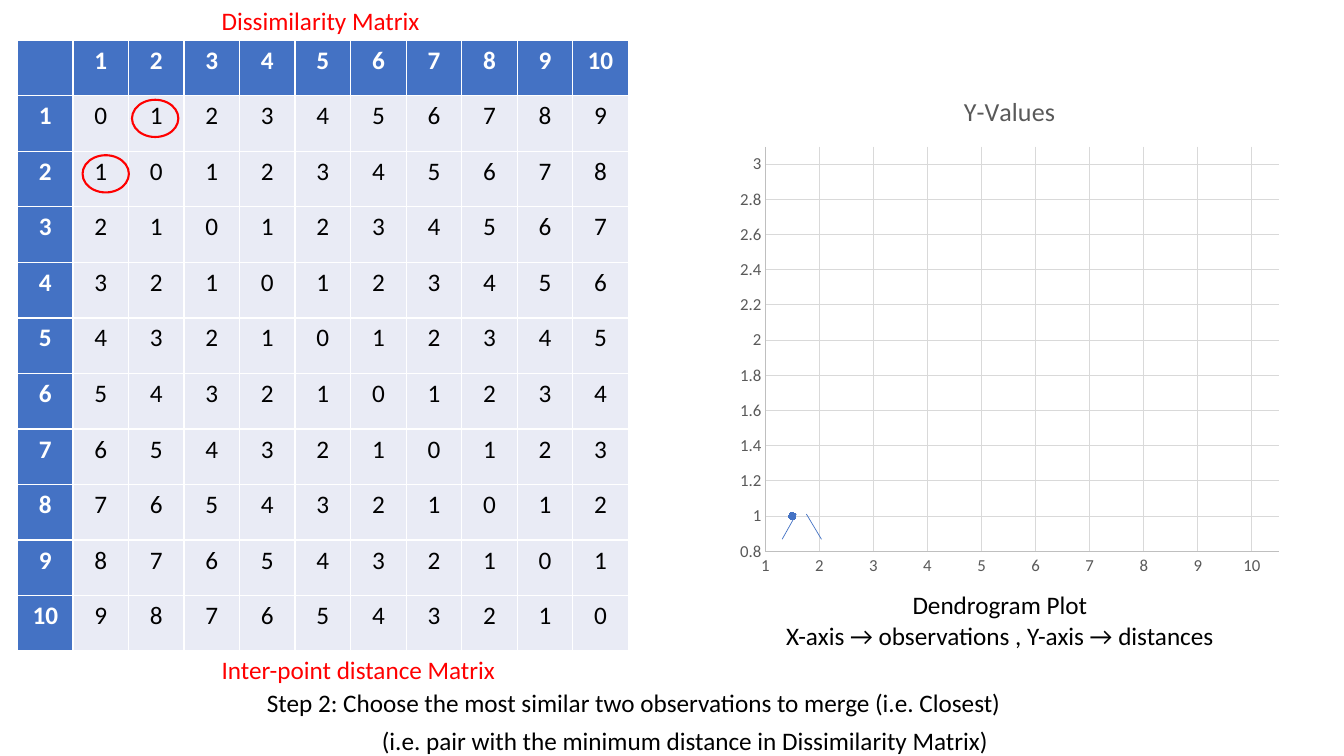
from lxml import etree
from pptx import Presentation
from pptx.chart.data import XyChartData
from pptx.dml.color import RGBColor
from pptx.enum.chart import XL_CHART_TYPE, XL_MARKER_STYLE, XL_TICK_MARK
from pptx.enum.shapes import MSO_CONNECTOR, MSO_SHAPE
from pptx.enum.text import MSO_AUTO_SIZE, PP_ALIGN
from pptx.oxml.ns import qn
from pptx.util import Pt

SCATTER = XL_CHART_TYPE.XY_SCATTER
CIRCLE = XL_MARKER_STYLE.CIRCLE
NO_TICK = XL_TICK_MARK.NONE
STRAIGHT = MSO_CONNECTOR.STRAIGHT
OVAL = MSO_SHAPE.OVAL
FIT_SHAPE = MSO_AUTO_SIZE.SHAPE_TO_FIT_TEXT
LEFT, CENTER = PP_ALIGN.LEFT, PP_ALIGN.CENTER

FONT = "Calibri"
BLACK = RGBColor(0x00, 0x00, 0x00)
WHITE = RGBColor(0xFF, 0xFF, 0xFF)
RED = RGBColor(0xFF, 0x00, 0x00)
BLUE = RGBColor(0x44, 0x72, 0xC4)
PALE = RGBColor(0xE9, 0xEB, 0xF5)
GRAY = RGBColor(0x59, 0x59, 0x59)
AXIS_GRAY = RGBColor(0xBF, 0xBF, 0xBF)
GRID_GRAY = RGBColor(0xD9, 0xD9, 0xD9)

# All lengths are in points.
SLIDE_SIZE = (960, 540)
OBSERVATIONS = range(1, 11)
MATRIX_PLACE = (12.5, 28.8)
CELL_SIZE = 39.68

# Each caption: lines, (left, top, width, height), colour, alignment, wrap
CAPTIONS = [
    (["Step 2: Choose the most similar two observations to merge (i.e. Closest)"],
     (183.6, 487.4, 628.6, 29), BLACK, LEFT, True),
    (["Dissimilarity Matrix"], (151.2, 0, 229, 29), RED, LEFT, True),
    (["Inter-point distance Matrix"], (151.2, 463.8, 229, 29), RED, LEFT, True),
    (["(i.e. pair with the minimum distance in Dissimilarity Matrix)"],
     (265.7, 514.2, 448.6, 29), BLACK, LEFT, False),
    (["Dendrogram Plot", "X-axis → observations , Y-axis → distances"],
     (547.9, 417.6, 332.6, 51), BLACK, CENTER, True),
]

CLOSEST_PAIR_PLACES = [(94.3, 71.3), (59, 110.9)]
CIRCLE_SIZE = (33.1, 26.6)

CHART_BOX = (520.6, 51.8, 401, 366.5)
CHART_TITLE = "Y-Values"
MERGES = [(1.5, 1)]
X_SCALE = {"minimum_scale": 1, "maximum_scale": 10.5, "major_unit": 1}
Y_SCALE = {"minimum_scale": 0.8, "maximum_scale": 3.1, "major_unit": 0.2}
AXIS_FORMAT = {"has_major_gridlines": True, "major_tick_mark": NO_TICK,
               "minor_tick_mark": NO_TICK}

# Each branch: start x, start y, end x, end y
BRANCHES = [(558.7, 385.2, 568.8, 367.2), (586.8, 385.2, 576, 367.2)]


def points(values):
    """Turn plain numbers into lengths."""
    return [Pt(value) for value in values]


def set_font(font, size, color, bold=False):
    """Format a font."""
    for name, value in {"name": FONT, "size": Pt(size), "bold": bold}.items():
        setattr(font, name, value)
    font.color.rgb = color


def set_line(line, color, width):
    """Format an outline."""
    line.color.rgb = color
    line.width = Pt(width)


def add_matrix(slide):
    """Add the table of distances between observations."""
    labels = [None, *OBSERVATIONS]
    count = len(labels)
    side = CELL_SIZE * count
    table = slide.shapes.add_table(
        count, count, *points((*MATRIX_PLACE, side, side))).table
    table.first_col = True
    table.horz_banding = False
    for column in table.columns:
        column.width = Pt(CELL_SIZE)
    for row_index, row_label in enumerate(labels):
        table.rows[row_index].height = Pt(CELL_SIZE)
        for column_index, column_label in enumerate(labels):
            cell = table.cell(row_index, column_index)
            is_header = row_label is None or column_label is None
            cell.fill.solid()
            cell.fill.fore_color.rgb = BLUE if is_header else PALE
            if is_header:
                value = row_label or column_label or ""
            else:
                value = abs(row_label - column_label)
            para = cell.text_frame.paragraphs[0]
            para.alignment = CENTER
            span = para.add_run()
            span.text = str(value)
            set_font(span.font, 18, WHITE if is_header else BLACK, is_header)


def add_caption(slide, lines, place, color, alignment, wrap):
    """Add a text box with one paragraph per line."""
    frame = slide.shapes.add_textbox(*points(place)).text_frame
    frame.word_wrap = wrap
    frame.auto_size = FIT_SHAPE
    for index, line in enumerate(lines):
        para = frame.add_paragraph() if index else frame.paragraphs[0]
        para.alignment = alignment
        span = para.add_run()
        span.text = line
        set_font(span.font, 18, color)


def add_circle(slide, place):
    """Ring one of the closest distances."""
    ring = slide.shapes.add_shape(OVAL, *points(place + CIRCLE_SIZE))
    ring.shadow.inherit = False
    ring.fill.background()
    set_line(ring.line, RED, 1.5)


def format_axis(axis, scale):
    """Set the scale, lines and labels of an axis."""
    for name, value in {**AXIS_FORMAT, **scale}.items():
        setattr(axis, name, value)
    set_line(axis.format.line, AXIS_GRAY, 0.75)
    set_line(axis.major_gridlines.format.line, GRID_GRAY, 0.75)
    set_font(axis.tick_labels.font, 12, GRAY)


def add_dendrogram(slide):
    """Add the scatter chart of merges and its branches."""
    data = XyChartData()
    series_data = data.add_series(CHART_TITLE)
    for merge in MERGES:
        series_data.add_data_point(*merge)
    chart = slide.shapes.add_chart(SCATTER, *points(CHART_BOX), data).chart
    set_font(chart.font, 10, BLACK)
    chart.has_legend = False
    chart.has_title = True
    chart.chart_title.include_in_layout = False
    span = chart.chart_title.text_frame.paragraphs[0].add_run()
    span.text = CHART_TITLE
    set_font(span.font, 18.6, GRAY)
    format_axis(chart.category_axis, X_SCALE)
    format_axis(chart.value_axis, Y_SCALE)
    plot = chart.plots[0]
    plot.vary_by_categories = False
    series = plot.series[0]
    series.format.line.fill.background()
    marker = series.marker
    marker.style, marker.size = CIRCLE, 5
    marker.format.fill.solid()
    marker.format.fill.fore_color.rgb = BLUE
    set_line(marker.format.line, BLUE, 0.75)


def add_branch(slide, ends):
    """Add one thin branch line of the dendrogram."""
    branch = slide.shapes.add_connector(STRAIGHT, *points(ends))
    set_line(branch.line, BLUE, 0.5)
    etree.SubElement(branch._element.spPr, qn("a:effectLst"))


deck = Presentation()
deck.slide_width, deck.slide_height = points(SLIDE_SIZE)
page = deck.slides.add_slide(deck.slide_layouts[6])
add_matrix(page)
for caption in CAPTIONS:
    add_caption(page, *caption)
for circle_place in CLOSEST_PAIR_PLACES:
    add_circle(page, circle_place)
add_dendrogram(page)
for branch_ends in BRANCHES:
    add_branch(page, branch_ends)
deck.save("out.pptx")
